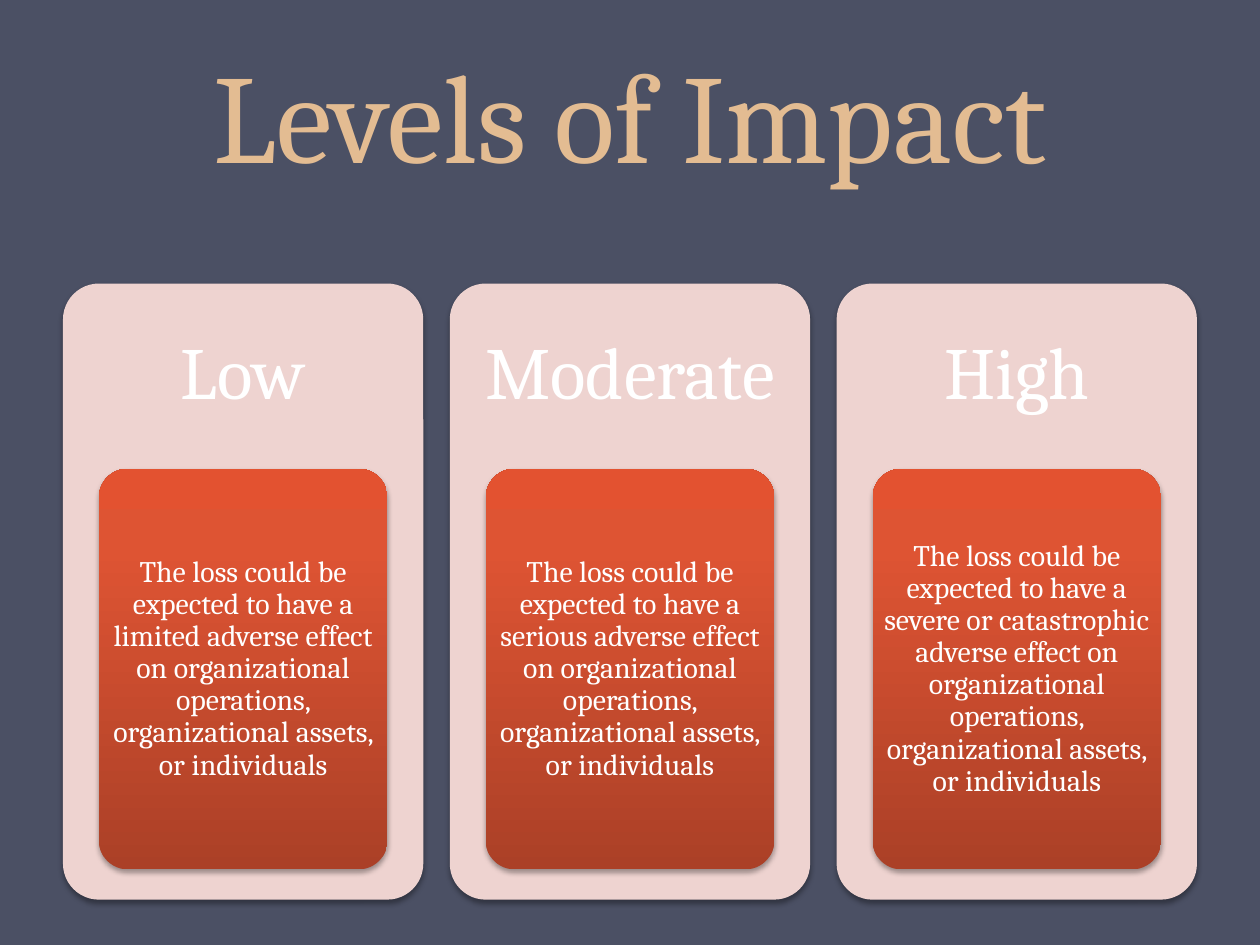
from copy import deepcopy

from lxml import etree
from pptx import Presentation
from pptx.dml.color import RGBColor
from pptx.enum import shapes, text
from pptx.oxml import ns
from pptx.util import Inches, Pt

TITLE = "Levels of Impact"
LEVELS = [
    ("Low", "limited"),
    ("Moderate", "serious"),
    ("High", "severe or catastrophic"),
]
DESCRIPTION = (
    "The loss could be expected to have a {} adverse effect on organizational "
    "operations, organizational assets, or individuals"
)

FONT = "Cambria"
SLATE = RGBColor(0x4B, 0x50, 0x64)
SAND = RGBColor(0xE3, 0xBC, 0x92)
PINK = RGBColor(0xEE, 0xD3, 0xD0)
WHITE = RGBColor(0xFF, 0xFF, 0xFF)
PANEL_GRADIENT = [
    (0, RGBColor(0xAB, 0x40, 0x27)),
    (80, RGBColor(0xDE, 0x54, 0x33)),
    (100, RGBColor(0xE3, 0x52, 0x30)),
]

MARGIN, CARD_TOP, CARD_WIDTH, CARD_HEIGHT = 0.5, 2.25, 2.86, 4.89
CARD_STEP = 3.07
HEADING_HEIGHT = 1.47
PANEL_WIDTH, PANEL_HEIGHT = 2.29, 3.18


def write(shape, content, size, color, spacing, inset, anchor=text.MSO_ANCHOR.MIDDLE):
    frame = shape.text_frame
    frame.word_wrap = True
    frame.auto_size = text.MSO_AUTO_SIZE.NONE
    frame.vertical_anchor = anchor
    frame.margin_left = frame.margin_right = Inches(inset)
    frame.margin_top = frame.margin_bottom = Inches(inset)
    paragraph = frame.paragraphs[0]
    paragraph.alignment = text.PP_ALIGN.CENTER
    paragraph.line_spacing = spacing
    run = paragraph.add_run()
    run.text = content
    run.font.name = FONT
    run.font.size = Pt(size)
    run.font.color.rgb = color


def add_rounded(slide, left, top, width, height):
    """Add a borderless rounded rectangle with a soft shadow below it."""
    shape = slide.shapes.add_shape(
        shapes.MSO_SHAPE.ROUNDED_RECTANGLE,
        Inches(left), Inches(top), Inches(width), Inches(height),
    )
    shape.adjustments[0] = 0.1
    shape.line.fill.background()
    shape.shadow.inherit = False
    effects = shape._element.spPr.find(ns.qn("a:effectLst"))
    shadow = etree.SubElement(
        effects, ns.qn("a:outerShdw"), blurRad=str(Pt(3.1)), dist=str(Pt(1.8)),
        dir="5400000", rotWithShape="0",
    )
    black = etree.SubElement(shadow, ns.qn("a:srgbClr"), val="000000")
    etree.SubElement(black, ns.qn("a:alpha"), val="35000")
    return shape


def fill_gradient(fill):
    fill.gradient()
    fill.gradient_angle = 90
    first = fill._fill._gradFill.find(ns.qn("a:gsLst"))[0]
    first.addnext(deepcopy(first))
    for stop, (position, color) in zip(fill.gradient_stops, PANEL_GRADIENT):
        stop.position = position / 100
        stop.color.rgb = color


def add_level(slide, left, name, effect):
    card = add_rounded(slide, left, CARD_TOP, CARD_WIDTH, CARD_HEIGHT)
    card.fill.solid()
    card.fill.fore_color.rgb = PINK

    heading = slide.shapes.add_textbox(
        Inches(left), Inches(CARD_TOP), Inches(CARD_WIDTH), Inches(HEADING_HEIGHT)
    )
    write(heading, name, 42, WHITE, 0.9, 0.17)

    panel_left = left + (CARD_WIDTH - PANEL_WIDTH) / 2
    panel = add_rounded(
        slide, panel_left, CARD_TOP + HEADING_HEIGHT, PANEL_WIDTH, PANEL_HEIGHT
    )
    fill_gradient(panel.fill)
    write(panel, DESCRIPTION.format(effect), 17, WHITE, 0.9, 0)


def main():
    presentation = Presentation()
    presentation.slide_width = Inches(10)
    presentation.slide_height = Inches(7.5)
    slide = presentation.slides.add_slide(presentation.slide_layouts[5])
    slide.background.fill.solid()
    slide.background.fill.fore_color.rgb = SLATE

    title = slide.shapes.title
    title.left, title.top = Inches(MARGIN), Inches(0)
    title.width, title.height = Inches(9), Inches(1.55)
    write(title, TITLE, 72, SAND, Pt(58), 0.05, text.MSO_ANCHOR.BOTTOM)

    for index, (name, effect) in enumerate(LEVELS):
        add_level(slide, MARGIN + index * CARD_STEP, name, effect)

    presentation.save("out.pptx")


if __name__ == "__main__":
    main()
